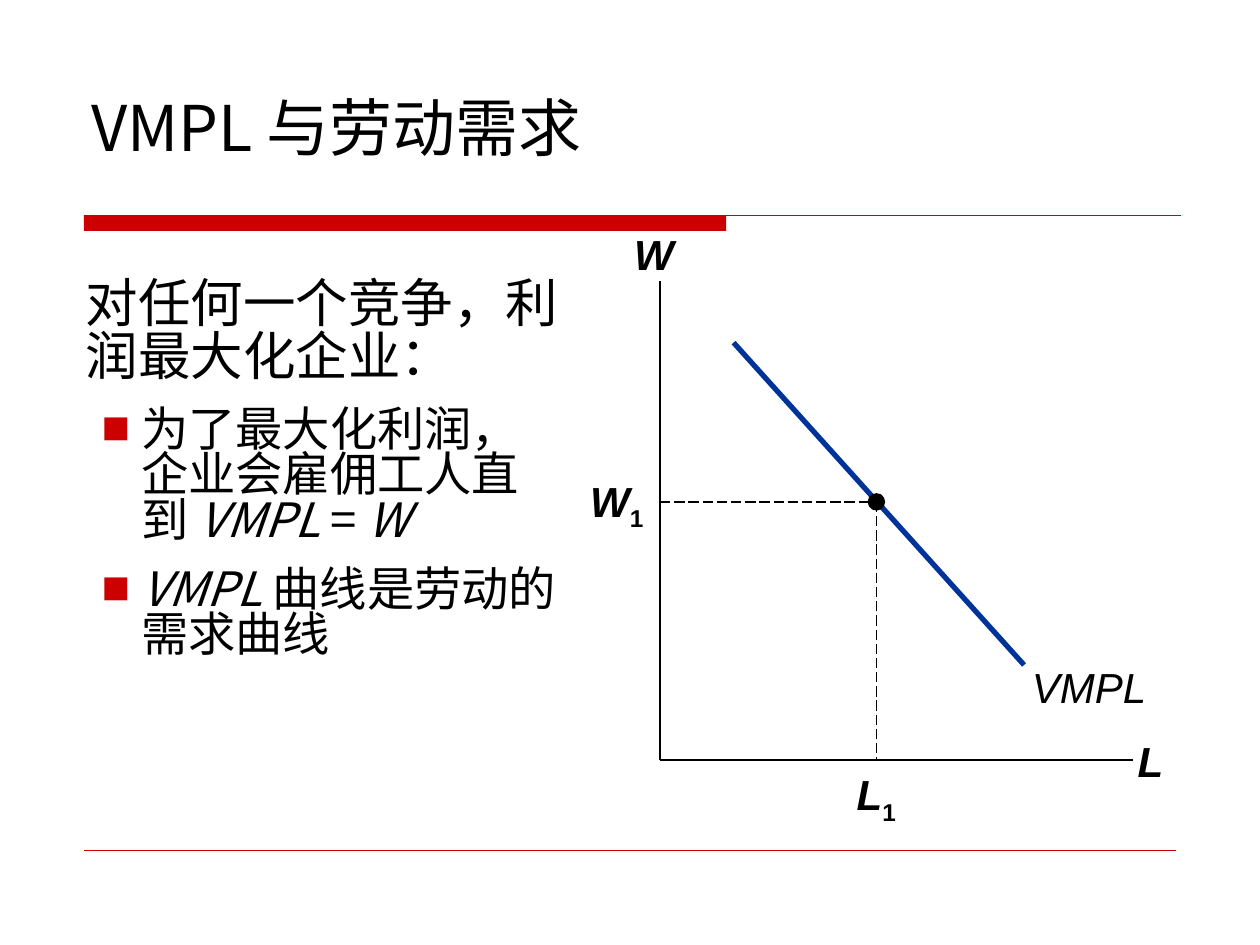
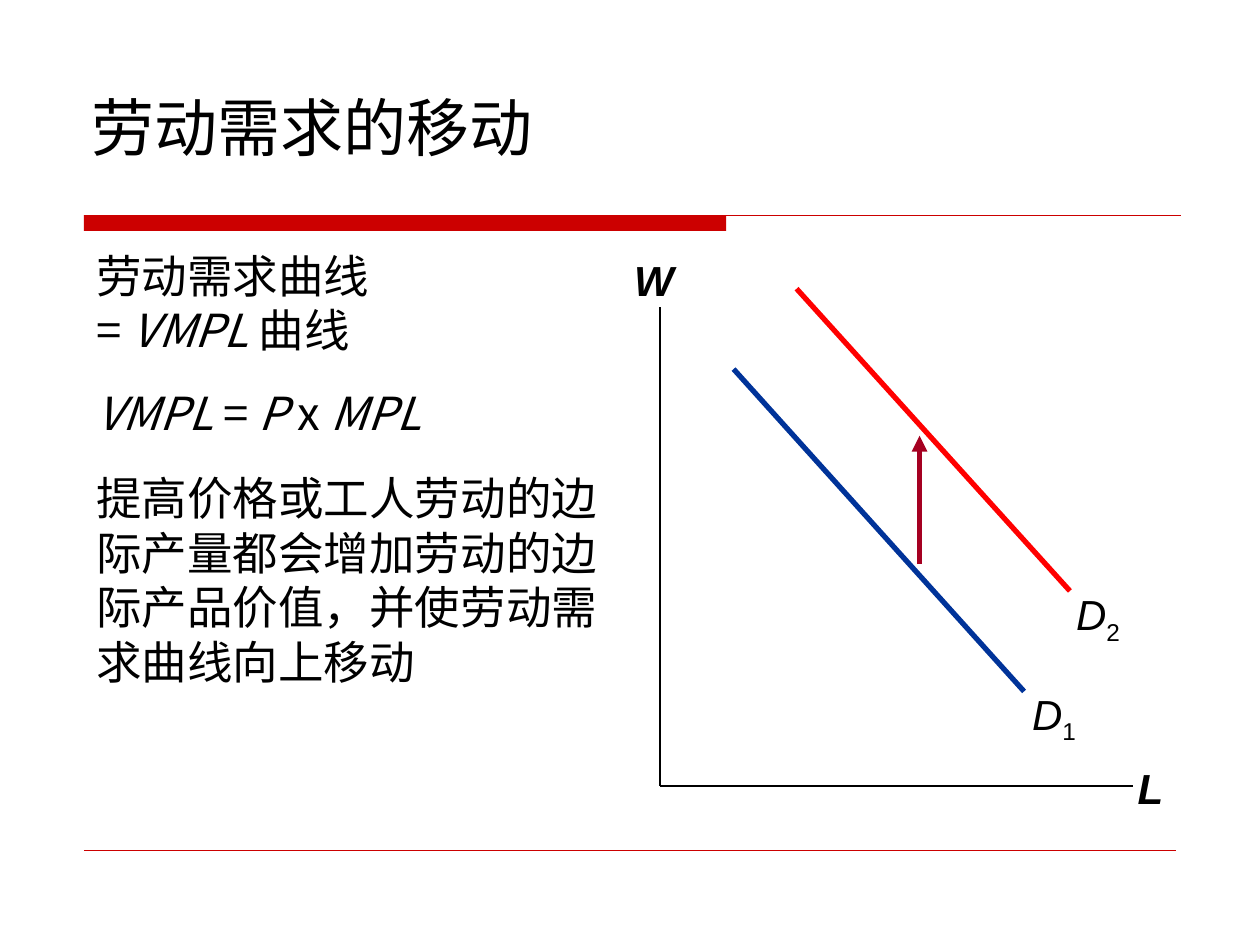
from lxml.etree import SubElement
from pptx import Presentation
from pptx.dml.color import RGBColor
from pptx.enum.dml import MSO_LINE
from pptx.enum.shapes import MSO_CONNECTOR as Connector, MSO_SHAPE as Shape
from pptx.enum.text import MSO_ANCHOR as Anchor, MSO_AUTO_SIZE as AutoSize, PP_ALIGN as Align
from pptx.oxml.ns import qn
from pptx.util import Pt

COLORS = {"ink": "000000", "band": "CC0000", "demand": "003399",
          "shifted": "FF0000", "arrow": "A50021"}
BODY_FONT, LABEL_FONT = "Noto Sans CJK SC", "Arial"
TITLE_BOX = (45, 24, 630, 96)
BAND_BOX = (48, 123, 367, 9)
RULES = [((48, 123), (674.6, 123), 0.75), ((48, 486), (672, 486), 0.25)]

ORIGIN, AXIS_TOP, AXIS_RIGHT = (377.2, 434.2), 160.6, 647.2
DEMAND = ((419.2, 195.8), (585.2, 380))
SHIFTED = ((455.2, 165), (611.4, 337.7))
WAGE_POINT = (500.8, 286.8)
DOT = 10
SHIFT_DROP = 15.1

LEAD = {"line_spacing": 0.85, "space_before": Pt(15)}
BULLET = {"line_spacing": 0.8, "space_before": Pt(13.5)}
FORMULA = {"space_before": Pt(16.2)}
CLOSING = {"space_before": Pt(17.5)}

SLIDES = [
    {
        "title": "VMPL 与劳动需求",
        "drop": 0,
        "body_box": (42, 156, 286.6, 306),
        "body": [
            (30, LEAD, False, [("对任何一个竞争，利润最大化企业：", "")]),
            (27, BULLET, True, [("为了最大化利润，企业会雇佣工人直到 ", ""), ("VMPL", "i"),
                                (" = ", ""), ("W", "i")]),
            (27, BULLET, True, [("VMPL ", "i"), ("曲线是劳动的需求曲线", "")]),
        ],
        "labels": [
            ((582, 374.4, 80.6, 36), [("VMPL", "i")]),
            ((333.4, 271.4, 38, 33), [("W", "bi"), ("1", "bs")]),
            ((481.7, 439.2, 38, 33), [("L", "bi"), ("1", "bs")]),
        ],
    },
    {
        "title": "劳动需求的移动",
        "drop": SHIFT_DROP,
        "body_box": (48, 138, 306, 330),
        "body": [
            (26, FORMULA, False, [("劳动需求曲线 \n= ", ""), ("VMPL ", "i"), ("曲线", "")]),
            (26, FORMULA, False, [("VMPL", "i"), (" = ", ""), ("P", "i"),
                                  (" x ", ""), ("MPL", "i")]),
            (26, CLOSING, False, [("提高价格或工人劳动的边际产量都会增加劳动的边际产品价值，"
                                   "并使劳动需求曲线向上移动", "")]),
        ],
        "labels": [
            ((579.6, 389.5, 45.4, 40.3), [("D", "i"), ("1", "s")]),
            ((606.2, 332.6, 42.5, 40.3), [("D", "i"), ("2", "s")]),
        ],
    },
]


def apply(target, values):
    for name, value in values.items():
        setattr(target, name, value)


def place(shape, bounds):
    apply(shape, dict(zip(("left", "top", "width", "height"), map(Pt, bounds))))


def lower(point, drop):
    return point[0], point[1] + drop


def write(para, parts, font, size):
    for text, marks in parts:
        for index, line in enumerate(text.split("\n")):
            if index:
                para.add_line_break()
            span = para.add_run()
            span.text = line
            apply(span.font, {"name": font, "size": Pt(size),
                              "bold": "b" in marks, "italic": "i" in marks})
            span.font.color.rgb = RGBColor.from_string(COLORS["ink"])
            props = span._r.get_or_add_rPr()
            SubElement(props, qn("a:ea")).set("typeface", font)
            if "s" in marks:
                props.set("baseline", "-25000")


def add_bullet(para):
    props = para._p.get_or_add_pPr()
    props.set("marL", str(Pt(31.5)))
    props.set("indent", str(-Pt(22.5)))
    color = SubElement(props, qn("a:buClr"))
    SubElement(color, qn("a:srgbClr")).set("val", COLORS["band"])
    SubElement(props, qn("a:buFont")).set("typeface", LABEL_FONT)
    SubElement(props, qn("a:buChar")).set("char", "■")


def add_line(page, start, end, color, width, dashed=False, arrow=False):
    line = page.shapes.add_connector(Connector.STRAIGHT, *map(Pt, (*start, *end)))
    line.line.color.rgb = RGBColor.from_string(COLORS[color])
    line.line.width = Pt(width)
    if dashed:
        line.line.dash_style = MSO_LINE.LONG_DASH
    if arrow:
        SubElement(line.line._get_or_add_ln(), qn("a:tailEnd")).set("type", "triangle")
    SubElement(line._element.spPr, qn("a:effectLst"))


def add_solid(page, kind, bounds, color):
    shape = page.shapes.add_shape(kind, *map(Pt, bounds))
    shape.shadow.inherit = False
    shape.fill.solid()
    shape.fill.fore_color.rgb = RGBColor.from_string(COLORS[color])
    shape.line.fill.background()


def add_label(page, bounds, parts):
    frame = page.shapes.add_textbox(*map(Pt, bounds)).text_frame
    apply(frame, {"word_wrap": False, "vertical_anchor": Anchor.MIDDLE, "margin_left": 0,
                  "margin_right": 0, "margin_top": 0, "margin_bottom": 0})
    para = frame.paragraphs[0]
    para.alignment = Align.CENTER
    write(para, parts, LABEL_FONT, 24)


def add_frame(page, title):
    add_solid(page, Shape.RECTANGLE, BAND_BOX, "band")
    for start, end, width in RULES:
        add_line(page, start, end, "band", width)
    heading = page.shapes.title
    place(heading, TITLE_BOX)
    apply(heading.text_frame, {"vertical_anchor": Anchor.MIDDLE, "word_wrap": True,
                               "auto_size": AutoSize.NONE})
    para = heading.text_frame.paragraphs[0]
    para.alignment = Align.LEFT
    write(para, [(title, "")], BODY_FONT, 36)


def add_body(page, bounds, paragraphs):
    frame = page.shapes.add_textbox(*map(Pt, bounds)).text_frame
    frame.word_wrap = True
    for index, (size, spacing, bulleted, parts) in enumerate(paragraphs):
        para = frame.add_paragraph() if index else frame.paragraphs[0]
        apply(para, spacing)
        if bulleted:
            add_bullet(para)
        write(para, parts, BODY_FONT, size)


def add_axes(page, drop):
    x, y = lower(ORIGIN, drop)
    add_line(page, (x, AXIS_TOP + drop), (x, y), "ink", 1)
    add_line(page, (x, y), (AXIS_RIGHT, y), "ink", 1)
    add_label(page, (357.1, 126.7 + drop, 33.1, 36), [("W", "bi")])
    add_label(page, (639.4, 416.9 + drop, 36, 36), [("L", "bi")])
    add_line(page, *(lower(point, drop) for point in DEMAND), "demand", 3)


def add_hiring_point(page):
    x, y = WAGE_POINT
    add_line(page, (ORIGIN[0], y), (x, y), "ink", 0.75, dashed=True)
    add_line(page, (x, y), (x, ORIGIN[1]), "ink", 0.75, dashed=True)
    add_solid(page, Shape.OVAL, (x - DOT / 2, y - DOT / 2, DOT, DOT), "ink")


def add_demand_shift(page):
    add_line(page, *SHIFTED, "shifted", 3)
    add_line(page, (525.5, 322.4), (525.5, 249), "arrow", 3, arrow=True)


def main():
    deck = Presentation()
    apply(deck, {"slide_width": Pt(720), "slide_height": Pt(540)})
    for content, add_detail in zip(SLIDES, (add_hiring_point, add_demand_shift)):
        page = deck.slides.add_slide(deck.slide_layouts[5])
        add_frame(page, content["title"])
        add_body(page, content["body_box"], content["body"])
        add_axes(page, content["drop"])
        add_detail(page)
        for bounds, parts in content["labels"]:
            add_label(page, bounds, parts)
    deck.save("out.pptx")


if __name__ == "__main__":
    main()
